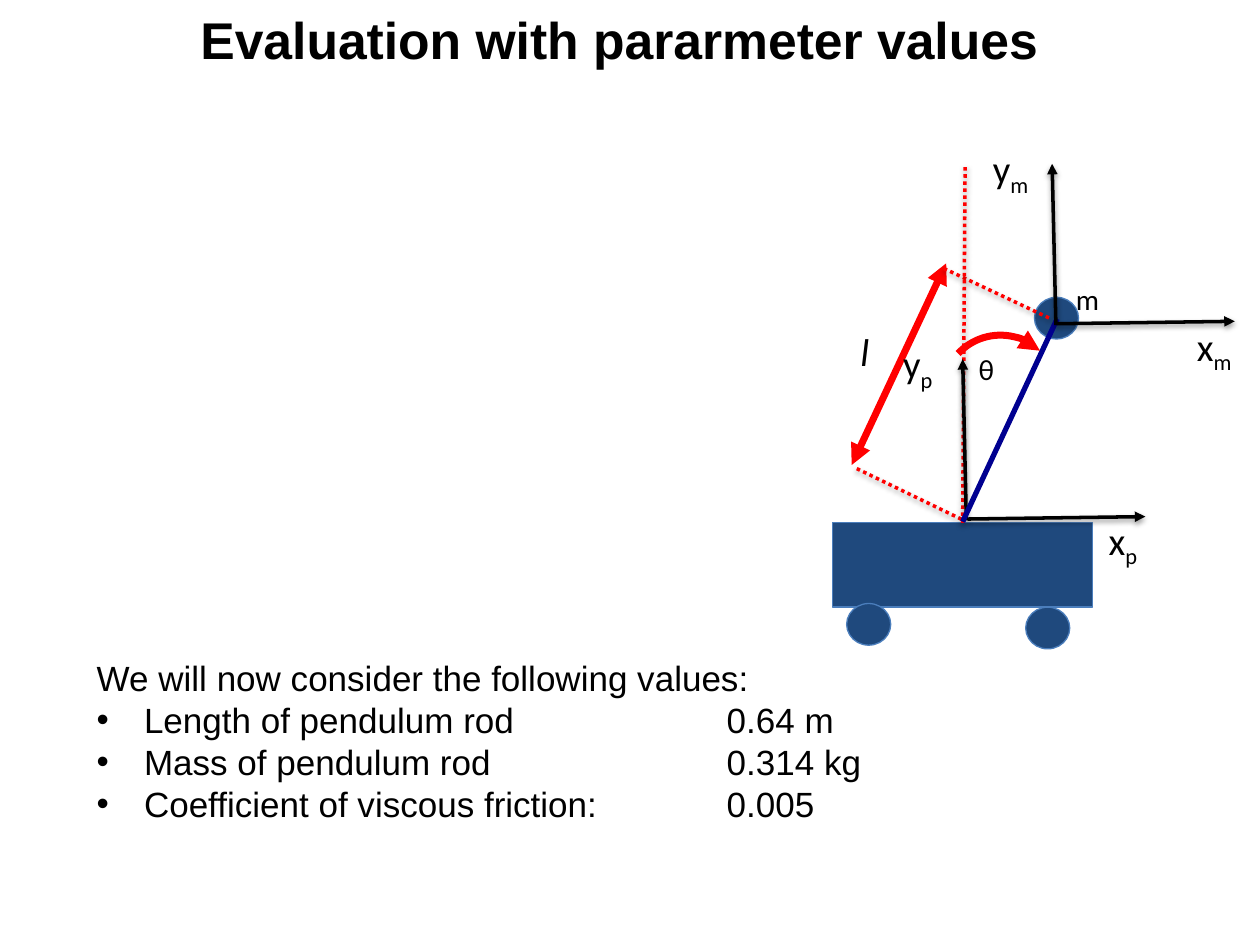
from lxml import etree
from pptx import Presentation
from pptx import util as u
from pptx.dml import color
from pptx.enum import dml, shapes, text
from pptx.oxml import ns

Pt = u.Pt
COLORS = {"black": "000000", "body": "1F497D", "edge": "4B7EBC",
          "red": "FF0000", "rod": "000090"}

# Content; all lengths in points
TITLE = "Evaluation with pararmeter values"
INTRO = "We will now consider the following values:"
PARAMETERS = [
    ("Length of pendulum rod", "0.64 m"),
    ("Mass of pendulum rod", "0.314 kg"),
    ("Coefficient of viscous friction:", "0.005"),
]
CART = (475.9, 298.8, 148.3, 48.2)
DISC_SIZE = (25.2, 23.8)
DISCS = [(483.8, 344.9), (586.1, 347), (591.1, 169.9)]  # two wheels, bob
ANGLE_ARC = (538.6, 191.5, 66.2, 66.2)

# Line styles: colour, width, dotted, head, tail, shadow
STYLES = {
    "length": ("red", 4, False, True, True, False),
    "guide": ("red", 2, True, False, False, True),
    "axis": ("black", 2, False, False, True, True),
    "rod": ("rod", 3, False, False, False, False),
    "angle": ("red", 4, False, False, True, False),
}
LINES = [
    ("length", (486.7, 265.7), (540.7, 150.5)),
    ("guide", (539.3, 153.4), (600.5, 182.2)),
    ("guide", (489.6, 267.8), (550.8, 297.4)),
    ("guide", (550.1, 298.8), (551.5, 95)),
    ("axis", (553, 296.6), (654.5, 295.2)),
    ("axis", (552.2, 297.4), (550.1, 205.2)),
    ("rod", (550.1, 298.1), (604.1, 182.2)),
    ("axis", (604.1, 185), (705.6, 183.6)),
    ("axis", (603.4, 185.8), (601.2, 93.6)),
]
# Labels: symbol, subscript, left, top, width, size, italic
LABELS = [
    ("l", "", 484.6, 183.6, 36, 22.1, True),
    ("θ", "", 552.2, 197.3, 36, 16.6, False),
    ("m", "", 607.7, 157, 36, 16.6, False),
    ("x", "p", 626.4, 291.6, 46.8, 22.1, False),
    ("y", "p", 509, 190.8, 46.8, 22.1, False),
    ("x", "m", 676.8, 180.7, 46.8, 22.1, False),
    ("y", "m", 560.2, 79.2, 46.8, 22.1, False),
]


def rgb(name):
    return color.RGBColor.from_string(COLORS[name])


def add_xml(parent, tag, **attributes):
    return etree.SubElement(parent, ns.qn(tag), attributes)


def add_span(para, words, size, font="Calibri", **flags):
    span = para.add_run()
    span.text = words
    span.font.name, span.font.size = font, Pt(size)
    span.font.color.rgb = rgb("black")
    for flag, value in flags.items():
        setattr(span.font, flag, value)
    return span


def add_box(left, top, width, height):
    box = page.shapes.add_textbox(*map(Pt, (left, top, width, height)))
    box.text_frame.word_wrap = True
    return box.text_frame


def add_solid(kind, *frame):
    shape = page.shapes.add_shape(kind, *map(Pt, frame))
    shape.shadow.inherit = False
    shape.fill.solid()
    shape.fill.fore_color.rgb = rgb("body")
    shape.line.color.rgb = rgb("edge")
    shape.line.width = Pt(0.75)


def style_line(shape, style):
    name, width, dotted, head, tail, shadow = STYLES[style]
    shape.line.color.rgb = rgb(name)
    shape.line.width = Pt(width)
    if dotted:
        shape.line.dash_style = dml.MSO_LINE.ROUND_DOT
    properties = shape.element.spPr
    stroke = properties.find(ns.qn("a:ln"))
    for tag, wanted in (("a:headEnd", head), ("a:tailEnd", tail)):
        if wanted:
            add_xml(stroke, tag, type="triangle")
    effects = add_xml(properties, "a:effectLst")
    if shadow:
        outer = add_xml(effects, "a:outerShdw", blurRad=str(Pt(3.1)),
                        dist=str(Pt(1.6)), dir="5400000", rotWithShape="0")
        shade = add_xml(outer, "a:srgbClr", val=COLORS["black"])
        add_xml(shade, "a:alpha", val="38000")


deck = Presentation()
deck.slide_width, deck.slide_height = Pt(720), Pt(540)
page = deck.slides.add_slide(deck.slide_layouts[5])

# Title
title = page.shapes.title
title.left, title.top, title.width, title.height = map(Pt, (59, 0, 598.3, 43.9))
frame = title.text_frame
frame.margin_left, frame.margin_right = Pt(6.5), Pt(14.7)
frame.margin_top = frame.margin_bottom = Pt(3.6)
frame.vertical_anchor = text.MSO_ANCHOR.MIDDLE
frame.paragraphs[0].alignment = text.PP_ALIGN.CENTER
add_span(frame.paragraphs[0], TITLE, 29.5, "Arial", bold=True)

# Parameter list with values at one tab stop
frame = add_box(48.2, 371.5, 653.8, 104.4)
para = frame.paragraphs[0]
para.line_spacing = Pt(24)
add_span(para, INTRO, 20, "Arial")
for name, value in PARAMETERS:
    para = frame.add_paragraph()
    para.line_spacing = Pt(24)
    layout = para._p.get_or_add_pPr()
    layout.set("marL", str(Pt(27)))
    layout.set("indent", str(Pt(-27)))
    add_xml(layout, "a:buFont", typeface="Arial")
    add_xml(layout, "a:buChar", char="•")
    tabs = add_xml(layout, "a:tabLst")
    add_xml(tabs, "a:tab", pos=str(Pt(360)), algn="l")
    add_span(para, f"{name}\t{value}", 20, "Arial")

# Cart, wheels and pendulum bob
add_solid(shapes.MSO_SHAPE.RECTANGLE, *CART)
for corner in DISCS:
    add_solid(shapes.MSO_SHAPE.OVAL, *corner, *DISC_SIZE)

# Guides, axes, rod and length arrow
for style, start, end in LINES:
    line = page.shapes.add_connector(shapes.MSO_CONNECTOR.STRAIGHT,
                                     *map(Pt, start + end))
    style_line(line, style)

# Angle arc
arc = page.shapes.add_shape(shapes.MSO_SHAPE.ARC, *map(Pt, ANGLE_ARC))
arc.rotation = 313
arc.fill.background()
style_line(arc, "angle")

# Symbols
for symbol, subscript, left, top, width, size, italic in LABELS:
    para = add_box(left, top, width, 1.2 * size + 7.2).paragraphs[0]
    add_span(para, symbol, size, italic=italic)
    if subscript:
        span = add_span(para, subscript, size)
        span.font._element.set("baseline", "-25000")

deck.save("out.pptx")
